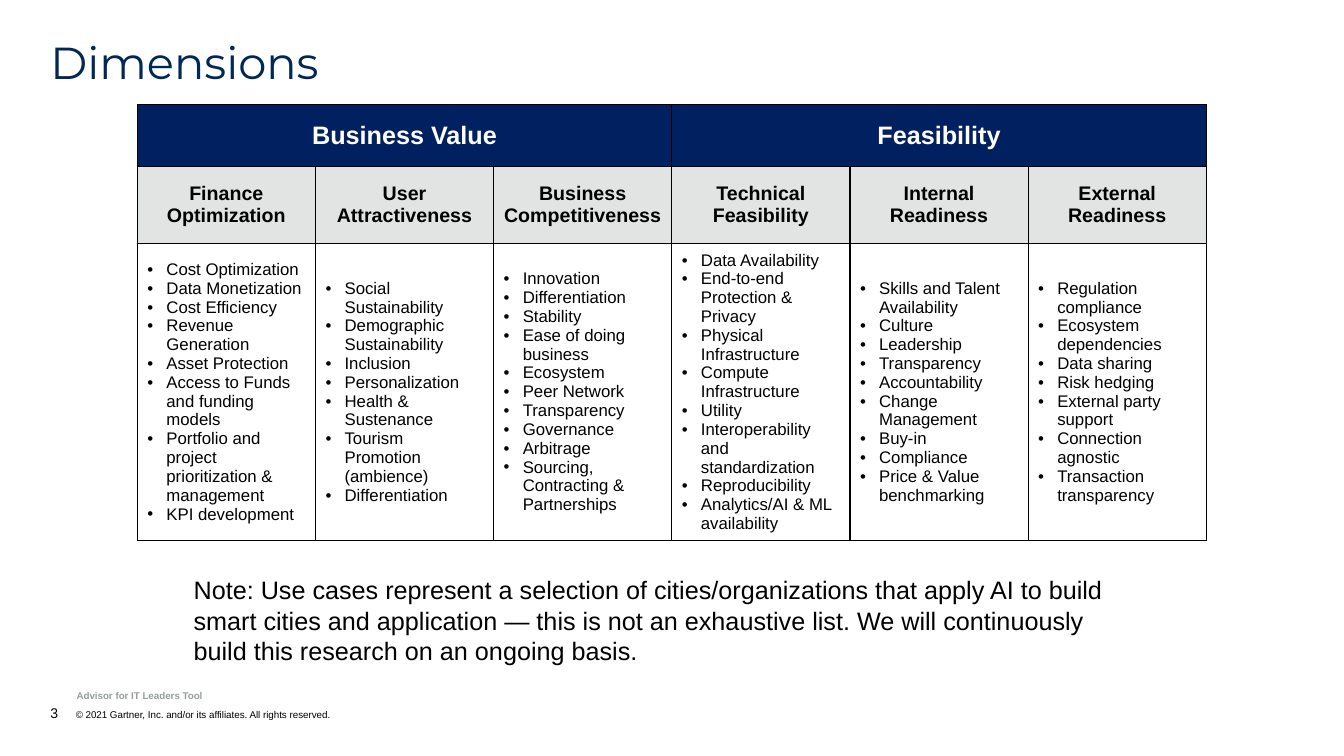
"""Build the slide that lists the dimensions of business value and feasibility."""
from dataclasses import dataclass

from lxml import etree
from pptx import Presentation
from pptx.dml.color import RGBColor
from pptx.enum.text import MSO_ANCHOR, MSO_AUTO_SIZE, PP_ALIGN
from pptx.oxml.ns import qn
from pptx.util import Cm, Pt

TOP, MIDDLE, BOTTOM = MSO_ANCHOR.TOP, MSO_ANCHOR.MIDDLE, MSO_ANCHOR.BOTTOM
CENTER, LEFT = PP_ALIGN.CENTER, PP_ALIGN.LEFT
FIXED = MSO_AUTO_SIZE.NONE
COLORS = {"navy": "002060", "title": "002856", "pale": "E2E4E4",
          "gray": "979D9D", "black": "000000", "white": "FFFFFF"}
HEIGHTS = (1.57, 1.93, 7.49)
WIDTH = 4.49
HANG = 0.48
INDENT = 0.64


@dataclass
class Style:
    """Look of a paragraph."""
    size: float
    color: str = "black"
    bold: bool = False
    font: str = "Arial"
    align: PP_ALIGN = LEFT


@dataclass
class Column:
    """One dimension with its points."""
    name: str
    points: list[str]


@dataclass
class Group:
    """A header and the columns below it."""
    name: str
    columns: list[Column]


@dataclass
class Label:
    """A free text box, with lengths in centimetres."""
    text: str
    left: float
    top: float
    width: float
    height: float
    style: Style
    anchor: MSO_ANCHOR = BOTTOM
    inset: float = 0
    hang: float = 0


HEAD = Style(18, "white", True, align=CENTER)
SUBHEAD = Style(14, "black", True, align=CENTER)
POINT = Style(12)
TITLE = Style(32, "title", font="Montserrat")

GROUPS = [
    Group("Business Value", [
        Column("Finance Optimization", [
            "Cost Optimization", "Data Monetization", "Cost Efficiency",
            "Revenue Generation", "Asset Protection",
            "Access to Funds and funding models",
            "Portfolio and project prioritization & management",
            "KPI development"]),
        Column("User Attractiveness", [
            "Social Sustainability", "Demographic Sustainability", "Inclusion",
            "Personalization", "Health & Sustenance",
            "Tourism Promotion (ambience)", "Differentiation"]),
        Column("Business Competitiveness", [
            "Innovation", "Differentiation", "Stability",
            "Ease of doing business", "Ecosystem", "Peer Network",
            "Transparency", "Governance", "Arbitrage",
            "Sourcing, Contracting & Partnerships"]),
    ]),
    Group("Feasibility", [
        Column("Technical Feasibility", [
            "Data Availability", "End-to-end Protection & Privacy",
            "Physical Infrastructure", "Compute Infrastructure", "Utility",
            "Interoperability and standardization", "Reproducibility",
            "Analytics/AI & ML availability"]),
        Column("Internal Readiness", [
            "Skills and Talent Availability", "Culture", "Leadership",
            "Transparency", "Accountability", "Change Management", "Buy-in",
            "Compliance", "Price & Value benchmarking"]),
        Column("External Readiness", [
            "Regulation compliance", "Ecosystem dependencies", "Data sharing",
            "Risk hedging", "External party support", "Connection agnostic",
            "Transaction transparency"]),
    ]),
]

LABELS = [
    Label("3\t© 2021 Gartner, Inc. and/or its affiliates. All rights reserved.",
          1.27, 17.75, 20.29, 0.43, Style(7), hang=INDENT),
    Label("Advisor for IT Leaders Tool", 1.93, 17.37, 11.58, 0.3,
          Style(7, "gray", True), hang=INDENT),
    Label("Note: Use cases represent a selection of cities/organizations that "
          "apply AI to build smart cities and application — this is not an "
          "exhaustive list. We will continuously build this research on an "
          "ongoing basis.", 4.88, 14.35, 23.11, 2.57, Style(18), TOP, 0.13),
]


def tint(name: str) -> RGBColor:
    """Return a named colour."""
    return RGBColor.from_string(COLORS[name])


def format_text(para, style: Style) -> None:
    """Apply a style to a paragraph."""
    para.alignment = style.align
    font = para.font
    font.name, font.size, font.bold = style.font, Pt(style.size), style.bold
    font.color.rgb = tint(style.color)


def indent(para, hang: float) -> None:
    """Give a paragraph a hanging indent."""
    props = para._p.get_or_add_pPr()
    props.set("marL", str(Cm(hang)))
    props.set("indent", str(-Cm(hang)))


def add_bullet(para) -> None:
    """Give a paragraph a black round bullet."""
    indent(para, HANG)
    props = para._p.get_or_add_pPr()
    shade = etree.SubElement(props, qn("a:buClr"))
    etree.SubElement(shade, qn("a:srgbClr"), val=COLORS["black"])
    etree.SubElement(props, qn("a:buFont"), typeface="Arial")
    etree.SubElement(props, qn("a:buChar"), char="•")


def add_border(cell) -> None:
    """Draw a thin black line round a cell."""
    props = cell._tc.get_or_add_tcPr()
    for side in ("lnL", "lnR", "lnT", "lnB"):
        line = etree.SubElement(props, qn(f"a:{side}"), w=str(Pt(1)))
        fill = etree.SubElement(line, qn("a:solidFill"))
        etree.SubElement(fill, qn("a:srgbClr"), val=COLORS["black"])


def fill_cell(cell, lines: list[str], style: Style, fill: str = "") -> None:
    """Write lines in a cell, as a bullet list where it has no fill."""
    cell.vertical_anchor = MIDDLE
    if fill:
        cell.fill.solid()
        cell.fill.fore_color.rgb = tint(fill)
    else:
        cell.fill.background()
    cell.text = "\n".join(lines)
    for para in cell.text_frame.paragraphs:
        if not fill:
            add_bullet(para)
        format_text(para, style)


def add_grid(slide) -> None:
    """Add the table of groups, columns and points."""
    count = sum(len(group.columns) for group in GROUPS)
    table = slide.shapes.add_table(len(HEIGHTS), count, Cm(3.46), Cm(2.63),
                                   Cm(WIDTH * count), Cm(sum(HEIGHTS))).table
    for row, height in zip(table.rows, HEIGHTS):
        row.height = Cm(height)
    for cell in table.iter_cells():
        add_border(cell)
    start = 0
    for group in GROUPS:
        end = start + len(group.columns)
        table.cell(0, start).merge(table.cell(0, end - 1))
        fill_cell(table.cell(0, start), [group.name], HEAD, "navy")
        for index, column in enumerate(group.columns, start):
            table.columns[index].width = Cm(WIDTH)
            fill_cell(table.cell(1, index), [column.name], SUBHEAD, "pale")
            fill_cell(table.cell(2, index), column.points, POINT)
        start = end


def set_frame(frame, anchor: MSO_ANCHOR, inset: float = 0) -> None:
    """Set the wrap, anchor and margins of a text frame."""
    frame.word_wrap, frame.auto_size = True, FIXED
    frame.vertical_anchor = anchor
    frame.margin_left = frame.margin_right = 0
    frame.margin_top = frame.margin_bottom = Cm(inset)


def add_label(slide, label: Label):
    """Add a text box and return its paragraph."""
    box = slide.shapes.add_textbox(Cm(label.left), Cm(label.top),
                                   Cm(label.width), Cm(label.height))
    set_frame(box.text_frame, label.anchor, label.inset)
    para = box.text_frame.paragraphs[0]
    if label.hang:
        indent(para, label.hang)
    number, tab, rest = label.text.partition("\t")
    run = para.add_run()
    run.text = number
    if tab:
        run.font.size = Pt(10)
        para.add_run().text = tab + rest
    format_text(para, label.style)


def add_title(slide, text: str) -> None:
    """Place and format the title."""
    title = slide.shapes.title
    title.left, title.top = Cm(1.27), Cm(1.02)
    title.width, title.height = Cm(31.32), Cm(1.24)
    set_frame(title.text_frame, TOP)
    title.text_frame.text = text
    para = title.text_frame.paragraphs[0]
    para.line_spacing = 0.9
    format_text(para, TITLE)


def main() -> None:
    """Build and save the deck."""
    deck = Presentation()
    deck.slide_width, deck.slide_height = Cm(33.87), Cm(19.05)
    slide = deck.slides.add_slide(deck.slide_layouts[5])
    add_title(slide, "Dimensions")
    add_grid(slide)
    for label in LABELS:
        add_label(slide, label)
    deck.save("out.pptx")


if __name__ == "__main__":
    main()
